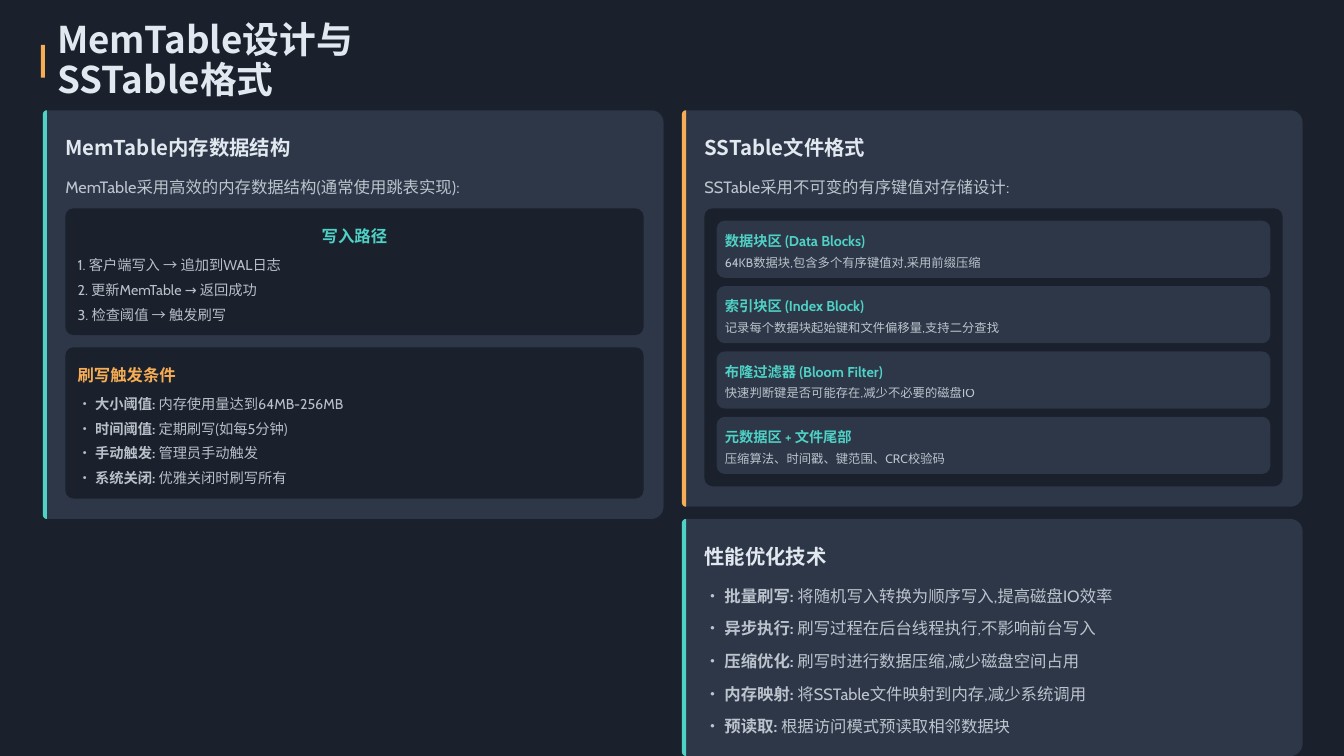
from dataclasses import dataclass
from math import cos, pi, sin

from lxml.etree import SubElement
from pptx import Presentation
from pptx.dml.color import RGBColor
from pptx.enum.shapes import MSO_SHAPE
from pptx.enum.text import MSO_ANCHOR, PP_ALIGN
from pptx.oxml.ns import qn
from pptx.util import Inches, Pt

COLORS = {
    "background": "1A202C",
    "panel": "2D3748",
    "text": "E2E8F0",
    "teal": "4FD1C5",
    "orange": "F6AD55",
}
CHINESE_FONT = "Noto Sans CJK SC"
BODY_FONT = "Cabin"
WIDTH, HEIGHT = 17.78, 10
UNIT = HEIGHT / 185  # square grid: 185 rows down the slide

PANEL_WIDTH, PANEL_TOP = 151.9, 27
PANEL_LEFTS = (10.5, 166.9)
INSET = 5.5
BOX_WIDTH = 141.5


@dataclass(frozen=True)
class Style:
    size: float
    line_spacing: float
    height: float
    font: str = BODY_FONT
    bold: bool = False
    opacity: int = 100


@dataclass(frozen=True)
class Panel:
    column: int
    top: float
    height: float
    accent: str
    heading: str
    intro: str = ""

    @property
    def left(self) -> float:
        return PANEL_LEFTS[self.column]

    @property
    def content_left(self) -> float:
        return self.left + INSET


@dataclass(frozen=True)
class Item:
    label: str
    detail: str


TITLE = Style(35, 0.9, 10, CHINESE_FONT, True)
HEADING = Style(19.4, 1.2, 7, CHINESE_FONT, True)
BODY = Style(15.6, 1.3, 6, opacity=80)
BOX_TITLE = Style(15.6, 1.3, 6, bold=True)
LIST = Style(13.6, 1.2, 5, opacity=80)
BLOCK_TITLE = Style(13.6, 1.2, 5, bold=True)
BLOCK_DETAIL = Style(11.7, 1.1, 4, opacity=80)

MEMTABLE = Panel(0, PANEL_TOP, 100, "teal", "MemTable内存数据结构",
                 "MemTable采用高效的内存数据结构(通常使用跳表实现):")
SSTABLE = Panel(1, PANEL_TOP, 97, "orange", "SSTable文件格式",
                "SSTable采用不可变的有序键值对存储设计:")
PERFORMANCE = Panel(1, 127, 58, "teal", "性能优化技术")

WRITE_STEPS = (
    "1. 客户端写入 → 追加到WAL日志",
    "2. 更新MemTable → 返回成功",
    "3. 检查阈值 → 触发刷写",
)
FLUSH_TRIGGERS = (
    Item("大小阈值:", "内存使用量达到64MB-256MB"),
    Item("时间阈值:", "定期刷写(如每5分钟)"),
    Item("手动触发:", "管理员手动触发"),
    Item("系统关闭:", "优雅关闭时刷写所有"),
)
FILE_BLOCKS = (
    Item("数据块区 (Data Blocks)", "64KB数据块,包含多个有序键值对,采用前缀压缩"),
    Item("索引块区 (Index Block)", "记录每个数据块起始键和文件偏移量,支持二分查找"),
    Item("布隆过滤器 (Bloom Filter)", "快速判断键是否可能存在,减少不必要的磁盘IO"),
    Item("元数据区 + 文件尾部", "压缩算法、时间戳、键范围、CRC校验码"),
)
OPTIMIZATIONS = (
    Item("批量刷写:", "将随机写入转换为顺序写入,提高磁盘IO效率"),
    Item("异步执行:", "刷写过程在后台线程执行,不影响前台写入"),
    Item("压缩优化:", "刷写时进行数据压缩,减少磁盘空间占用"),
    Item("内存映射:", "将SSTable文件映射到内存,减少系统调用"),
    Item("预读取:", "根据访问模式预读取相邻数据块"),
)


def grid(units: float) -> int:
    return Inches(units * UNIT)


def paint(shape, color: str) -> None:
    shape.shadow.inherit = False
    shape.fill.solid()
    shape.fill.fore_color.rgb = RGBColor.from_string(COLORS[color])
    shape.line.fill.background()


def add_box(slide, left: float, top: float, width: float, height: float,
            color: str, radius: float = 2) -> None:
    kind = MSO_SHAPE.ROUNDED_RECTANGLE if radius else MSO_SHAPE.RECTANGLE
    shape = slide.shapes.add_shape(kind, grid(left), grid(top), grid(width), grid(height))
    if radius:
        shape.adjustments[0] = radius / min(width, height)
    paint(shape, color)


def add_sided_box(slide, left: float, top: float, width: float, height: float,
                  color: str, left_radius: float, right_radius: float) -> None:
    """Draw a box whose left and right corners have different radii."""
    right, bottom = left + width, top + height
    corners = (
        (right - right_radius, top + right_radius, right_radius, -pi / 2),
        (right - right_radius, bottom - right_radius, right_radius, 0),
        (left + left_radius, bottom - left_radius, left_radius, pi / 2),
        (left + left_radius, top + left_radius, left_radius, pi),
    )
    points = []
    for center_x, center_y, radius, start in corners:
        steps = 8 if radius else 0
        for step in range(steps + 1):
            angle = start + pi / 2 * step / max(steps, 1)
            points.append((grid(center_x + radius * cos(angle)),
                           grid(center_y + radius * sin(angle))))
    builder = slide.shapes.build_freeform(*points[0])
    builder.add_line_segments(points[1:], close=True)
    paint(builder.convert_to_shape(), color)


def add_text(slide, left: float, top: float, width: float, style: Style,
             runs: tuple[tuple[str, bool], ...], color: str = "text",
             alignment: PP_ALIGN = PP_ALIGN.LEFT) -> None:
    shape = slide.shapes.add_textbox(grid(left), grid(top), grid(width), grid(style.height))
    frame = shape.text_frame
    frame.word_wrap = True
    frame.vertical_anchor = MSO_ANCHOR.MIDDLE
    frame.margin_left = frame.margin_right = frame.margin_top = frame.margin_bottom = 0
    paragraph = frame.paragraphs[0]
    paragraph.alignment = alignment
    paragraph.line_spacing = style.line_spacing
    for text, bold in runs:
        run = paragraph.add_run()
        run.text = text
        run.font.size = Pt(style.size)
        run.font.bold = bold
        run.font.color.rgb = RGBColor.from_string(COLORS[color])
        run.font.name = style.font
        properties = run.font._element
        SubElement(properties, qn("a:ea")).set("typeface", CHINESE_FONT)
        if style.opacity < 100:
            fill = properties.find(".//" + qn("a:srgbClr"))
            SubElement(fill, qn("a:alpha")).set("val", str(style.opacity * 1000))


def add_line(slide, left: float, top: float, width: float, style: Style, text: str,
             color: str = "text", alignment: PP_ALIGN = PP_ALIGN.LEFT) -> None:
    add_text(slide, left, top, width, style, ((text, style.bold),), color, alignment)


def add_bullets(slide, left: float, top: float, width: float, style: Style,
                items: tuple[Item, ...], pitch: float) -> None:
    for row, item in enumerate(items):
        runs = (("• ", False), (item.label, True), (" " + item.detail, False))
        add_text(slide, left, top + row * pitch, width, style, runs)


def add_panel(slide, panel: Panel) -> None:
    add_sided_box(slide, panel.left, panel.top, PANEL_WIDTH, panel.height, "panel", 1, 3)
    add_sided_box(slide, panel.left, panel.top, 1, panel.height, panel.accent, 1, 0)
    add_line(slide, panel.content_left, panel.top + 5, 144, HEADING, panel.heading)
    if panel.intro:
        add_line(slide, panel.content_left, panel.top + 15, 143.4, BODY, panel.intro)


def add_memtable(slide) -> None:
    add_panel(slide, MEMTABLE)
    left = MEMTABLE.content_left
    add_box(slide, left, 51, BOX_WIDTH, 31, "background")
    add_line(slide, left + 2, 54, 137.5, BOX_TITLE, "写入路径", "teal", PP_ALIGN.CENTER)
    for row, step in enumerate(WRITE_STEPS):
        add_line(slide, left + 3, 62 + row * 6, 137.3, LIST, step)
    add_box(slide, left, 85, BOX_WIDTH, 37, "background")
    add_line(slide, left + 3, 88, 137.5, BOX_TITLE, "刷写触发条件", "orange")
    add_bullets(slide, left + 3, 96, 137.3, LIST, FLUSH_TRIGGERS, 6)


def add_sstable(slide) -> None:
    add_panel(slide, SSTABLE)
    left = SSTABLE.content_left
    add_box(slide, left, 51, BOX_WIDTH, 68, "background")
    for row, block in enumerate(FILE_BLOCKS):
        top = 54 + row * 16
        add_box(slide, left + 3, top, BOX_WIDTH - 6, 14, "panel")
        add_line(slide, left + 5, top + 2, 133, BLOCK_TITLE, block.label, "teal")
        add_line(slide, left + 5, top + 8, 133, BLOCK_DETAIL, block.detail)


def main() -> None:
    presentation = Presentation()
    presentation.slide_width, presentation.slide_height = Inches(WIDTH), Inches(HEIGHT)
    slide = presentation.slides.add_slide(presentation.slide_layouts[6])
    slide.background.fill.solid()
    slide.background.fill.fore_color.rgb = RGBColor.from_string(COLORS["background"])
    add_box(slide, 10, 11, 1, 8, "orange", radius=0)
    add_line(slide, 14, 10, 101, TITLE, "MemTable设计与SSTable格式")
    add_memtable(slide)
    add_sstable(slide)
    add_panel(slide, PERFORMANCE)
    add_bullets(slide, PERFORMANCE.content_left, 142, 143.4, BODY, OPTIMIZATIONS, 8)
    presentation.save("out.pptx")


if __name__ == "__main__":
    main()
